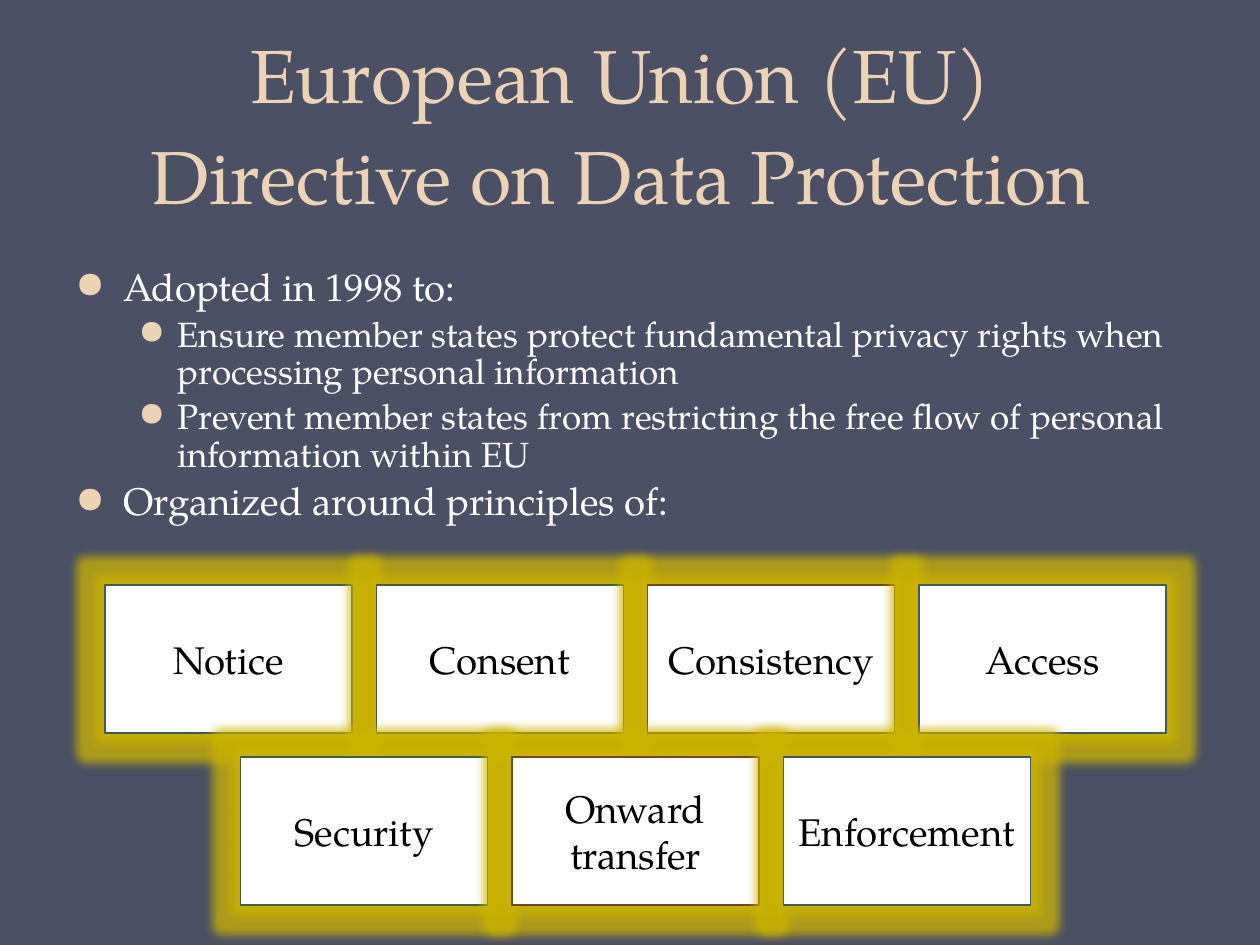
"""Build a slide on the EU data protection directive and its seven principles."""
from lxml import etree
from pptx import Presentation
from pptx import util as u
from pptx.dml.color import RGBColor
from pptx.enum import shapes, text
from pptx.oxml import ns

EMU_PER_PX = 914400 / 126
FONT = "TeX Gyre Pagella"
SLATE = RGBColor(0x4B, 0x50, 0x64)
SAND = RGBColor(0xED, 0xD3, 0xB6)
WHITE = RGBColor(0xFF, 0xFF, 0xFF)
BLACK = RGBColor(0x00, 0x00, 0x00)
GLOW = RGBColor(0xCC, 0xB4, 0x00)
OUTLINES = (RGBColor(0x41, 0x5B, 0x5C), RGBColor(0x43, 0x5E, 0x40),
            RGBColor(0x71, 0x48, 0x1C))

TITLE = "European Union (EU) \vDirective on Data Protection "
BULLETS = (
    (0, "Adopted in 1998 to:"),
    (1, "Ensure member states protect fundamental privacy rights when "
        "processing personal information"),
    (1, "Prevent member states from restricting the free flow of personal "
        "information within EU"),
    (0, "Organized around principles of:"),
)
LEVELS = ((48, 48, 22), (102, 39, 20))
PRINCIPLES = (("Notice", "Consent", "Consistency", "Access"),
              ("Security", "Onward transfer", "Enforcement"))
BOX_W, BOX_H = 247, 148
PITCH_X, PITCH_Y = 814 / 3, 172
GRID_LEFT, GRID_TOP = 105, 585


def px(n):
    """Turn pixels into EMU."""
    return u.Emu(round(n * EMU_PER_PX))


def add_child(parent, tag, **attrs):
    """Append a drawing element with the given attributes."""
    child = etree.SubElement(parent, ns.qn(tag))
    for name, value in attrs.items():
        child.set(name, str(value))
    return child


def write(p, words, size, color, align=None, spacing=None, before=None):
    """Fill a paragraph with formatted text."""
    p.text = words
    p.alignment = align
    p.line_spacing = spacing
    p.space_before = before
    for r in p.runs:
        r.font.name = FONT
        r.font.size = u.Pt(size)
        r.font.color.rgb = color


def set_bullet(p, level):
    """Give a paragraph the hanging bullet of its level."""
    left, hang, _ = LEVELS[level]
    p.level = level
    pPr = p._p.get_or_add_pPr()
    pPr.set("marL", str(px(left)))
    pPr.set("indent", str(px(-hang)))
    add_child(add_child(pPr, "a:buClr"), "a:srgbClr", val=SAND)
    add_child(pPr, "a:buSzPct", val=140000)
    add_child(pPr, "a:buFont", typeface=FONT)
    add_child(pPr, "a:buChar", char="•")


def add_title(s):
    """Place and format the title."""
    sp = s.shapes.title
    sp.left, sp.top, sp.width, sp.height = px(0), px(16), px(1260), px(210)
    tf = sp.text_frame
    tf.auto_size = text.MSO_AUTO_SIZE.NONE
    tf.vertical_anchor = text.MSO_ANCHOR.BOTTOM
    write(tf.paragraphs[0], TITLE, 43, SAND,
          align=text.PP_ALIGN.CENTER, spacing=u.Pt(58))


def add_bullets(s):
    """Add the bulleted text."""
    tf = s.shapes.add_textbox(px(63), px(262), px(1134), px(357)).text_frame
    tf.word_wrap = True
    for i, (level, words) in enumerate(BULLETS):
        p = tf.add_paragraph() if i else tf.paragraphs[0]
        size = LEVELS[level][2]
        set_bullet(p, level)
        write(p, words, size, WHITE, spacing=0.9,
              before=u.Pt(size * 0.2) if i else None)


def add_glow(sp):
    """Surround a shape with a soft glow."""
    sp.shadow.inherit = False
    effects = sp._element.spPr.find(ns.qn("a:effectLst"))
    glow = add_child(effects, "a:glow", rad=u.Pt(11))
    color = add_child(glow, "a:srgbClr", val=GLOW)
    add_child(color, "a:alpha", val=75000)


def add_box(s, x, y, words, outline):
    """Add one principle box."""
    sp = s.shapes.add_shape(shapes.MSO_SHAPE.RECTANGLE,
                            px(x), px(y), px(BOX_W), px(BOX_H))
    sp.fill.solid()
    sp.fill.fore_color.rgb = WHITE
    sp.line.color.rgb = outline
    sp.line.width = u.Pt(0.75)
    add_glow(sp)
    tf = sp.text_frame
    tf.word_wrap = True
    tf.vertical_anchor = text.MSO_ANCHOR.MIDDLE
    tf.margin_left = tf.margin_right = tf.margin_top = tf.margin_bottom = px(11)
    write(tf.paragraphs[0], words, 22, BLACK, align=text.PP_ALIGN.CENTER)


def add_principles(s):
    """Lay the boxes out in centred rows."""
    count = 0
    for row, names in enumerate(PRINCIPLES):
        left = GRID_LEFT + (len(PRINCIPLES[0]) - len(names)) * PITCH_X / 2
        for col, words in enumerate(names):
            add_box(s, left + col * PITCH_X, GRID_TOP + row * PITCH_Y,
                    words, OUTLINES[count % len(OUTLINES)])
            count += 1


def main():
    """Build and save the slide."""
    prs = Presentation()
    prs.slide_width, prs.slide_height = px(1260), px(945)
    s = prs.slides.add_slide(prs.slide_layouts[5])
    s.background.fill.solid()
    s.background.fill.fore_color.rgb = SLATE
    add_title(s)
    add_bullets(s)
    add_principles(s)
    prs.save("out.pptx")


if __name__ == "__main__":
    main()
